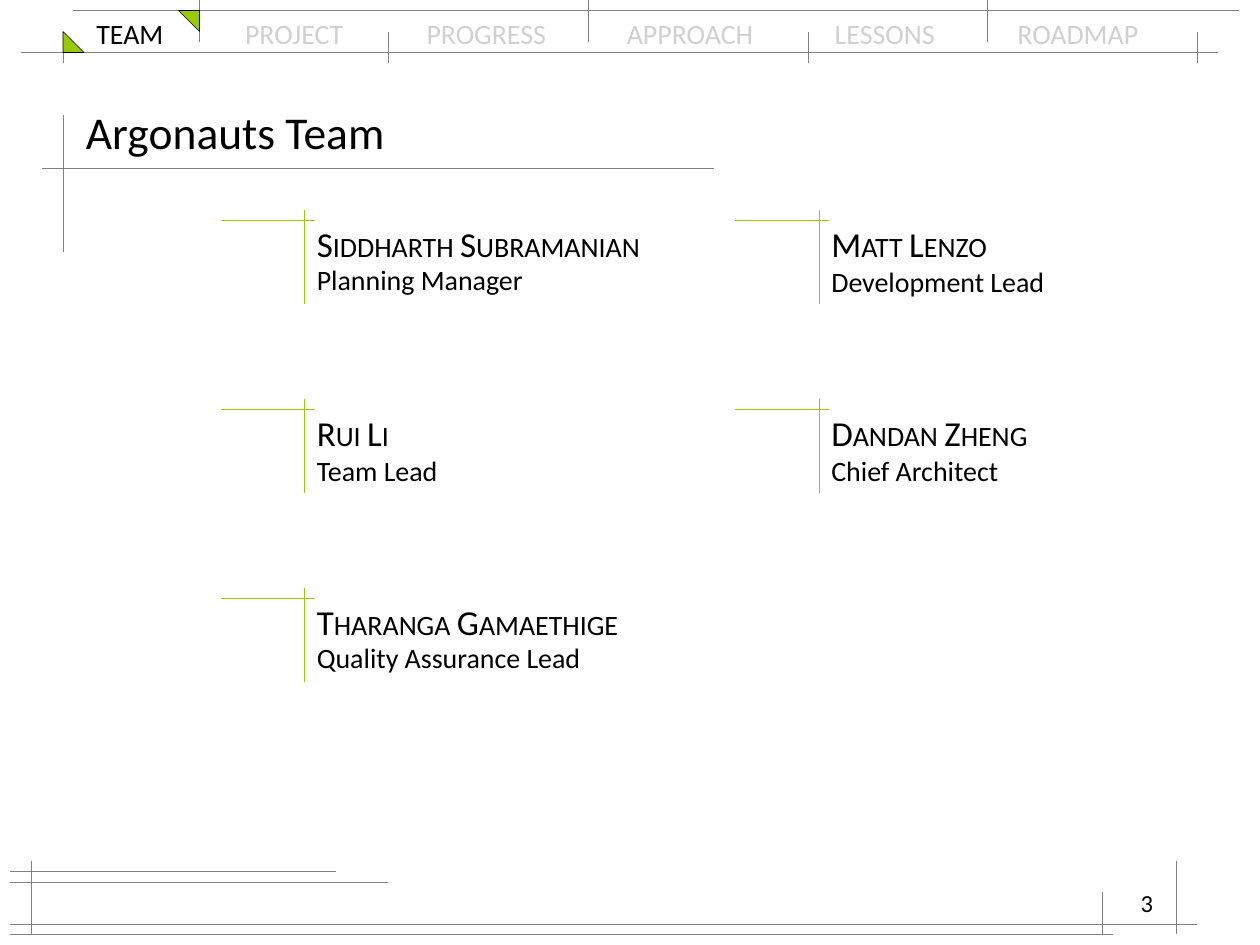
import pptx
import pptx.util
import pptx.dml.color
import pptx.enum.shapes
import pptx.enum.text
import pptx.oxml.xmlchemy

COLORS = {"ink": "000000", "faded": "D0D0D0", "rule": "808080", "accent": "99CC00"}
COLUMNS, ROWS = 120, 90

deck = pptx.Presentation()
deck.slide_width = pptx.util.Inches(10)
deck.slide_height = pptx.util.Inches(7.5)
column, row = deck.slide_width // COLUMNS, deck.slide_height // ROWS
slide = deck.slides.add_slide(deck.slide_layouts[6])


def draw_rule(x1, y1, x2, y2, color):
    rule = slide.shapes.add_connector(
        pptx.enum.shapes.MSO_CONNECTOR.STRAIGHT,
        x1 * column, y1 * row, x2 * column, y2 * row)
    rule.line.width = pptx.util.Pt(0.3)
    rule.line.color.rgb = pptx.dml.color.RGBColor.from_string(COLORS[color])
    rule._element.spPr.append(pptx.oxml.xmlchemy.OxmlElement("a:effectLst"))


def write_box(x, y, width, height, lines, **frame_format):
    frame = slide.shapes.add_textbox(
        x * column, y * row, width * column, height * row).text_frame
    for name, value in {"word_wrap": True, **frame_format}.items():
        setattr(frame, name, value)
    for index, (runs, paragraph_format) in enumerate(lines):
        paragraph = frame.add_paragraph() if index else frame.paragraphs[0]
        for name, value in paragraph_format.items():
            setattr(paragraph, name, value)
        for words, size, color in runs:
            run = paragraph.add_run()
            run.text = words
            for name, value in {"name": "Calibri", "size": pptx.util.Pt(size)}.items():
                setattr(run.font, name, value)
            run.font.color.rgb = pptx.dml.color.RGBColor.from_string(COLORS[color])
    return frame


grow = {"auto_size": pptx.enum.text.MSO_AUTO_SIZE.SHAPE_TO_FIT_TEXT}

sections = [("PROJECT", 1.18), ("PROGRESS", 2.62), ("APPROACH", 4.21),
            ("LESSONS", 5.86), ("ROADMAP", 7.31)]
labels = [("TEAM", 16, "ink")] + [("\t" + name, 16, "faded") for name, _ in sections]
navigation = write_box(8, 1, 104, 4.4, [(labels, {})], **grow)
tab_list = pptx.oxml.xmlchemy.OxmlElement("a:tabLst")
for _, stop in sections:
    tab = pptx.oxml.xmlchemy.OxmlElement("a:tab")
    tab.set("pos", str(pptx.util.Inches(stop)))
    tab.set("algn", "l")
    tab_list.append(tab)
navigation.paragraphs[0]._p.get_or_add_pPr().append(tab_list)

for left, y, right in [(2, 5, 116), (7, 1, 118), (4, 16, 68), (1, 84, 37),
                       (1, 88, 114), (1, 83, 32), (1, 89, 106)]:
    draw_rule(left, y, right, y, "rule")

navigation_ticks = [(x, 3, 6) for x in (6, 37, 77, 114)] + [(x, 0, 4) for x in (19, 56, 94)]
for x, top, bottom in navigation_ticks + [(6, 11, 24), (3, 82, 89),
                                          (112, 82, 89), (105, 85, 89)]:
    draw_rule(x, top, x, bottom, "rule")

for x, y, turn in [(6, 3, 0), (17, 1, 180)]:
    corner = slide.shapes.add_shape(
        pptx.enum.shapes.MSO_SHAPE.RIGHT_TRIANGLE,
        x * column, y * row, 2 * column, 2 * row)
    corner.rotation = turn
    corner.shadow.inherit = False
    corner.fill.solid()
    corner.fill.fore_color.rgb = pptx.dml.color.RGBColor.from_string(COLORS["accent"])
    corner.line.color.rgb = pptx.dml.color.RGBColor.from_string(COLORS["ink"])
    corner.line.width = pptx.util.Pt(0.3)

write_box(7, 9, 106, 7, [([("Argonauts Team", 26, "ink")], {})],
          vertical_anchor=pptx.enum.text.MSO_ANCHOR.MIDDLE)

tight = {"line_spacing": 0.6}
spaced = {"line_spacing": 0.6, "space_before": pptx.util.Pt(8)}
members = [
    (0, 0, "Siddharth Subramanian", "Planning Manager", {}),
    (0, 1, "Rui Li", "Team Lead", spaced),
    (0, 2, "Tharanga Gamaethige", "Quality Assurance Lead", {}),
    (1, 0, "Matt Lenzo", "Development Lead", spaced),
    (1, 1, "Dandan Zheng", "Chief Architect", spaced),
]
for side, rank, member, role, role_format in members:
    x, y = 29 + 49 * side, 22 + 18 * rank
    card = write_box(x, y, 35, 7, [([(member, 20, "ink")], tight),
                                   ([(role, 16, "ink")], role_format)], **grow)
    card.paragraphs[0].runs[0]._r.get_or_add_rPr().set("cap", "small")
    draw_rule(x, y - 2, x, y + 7, "accent")
    draw_rule(x - 8, y - 1, x + 1, y - 1, "accent")

write_box(86, 84, 25, 6, [([("3", 14, "ink")],
                           {"alignment": pptx.enum.text.PP_ALIGN.RIGHT})])

deck.save("out.pptx")
